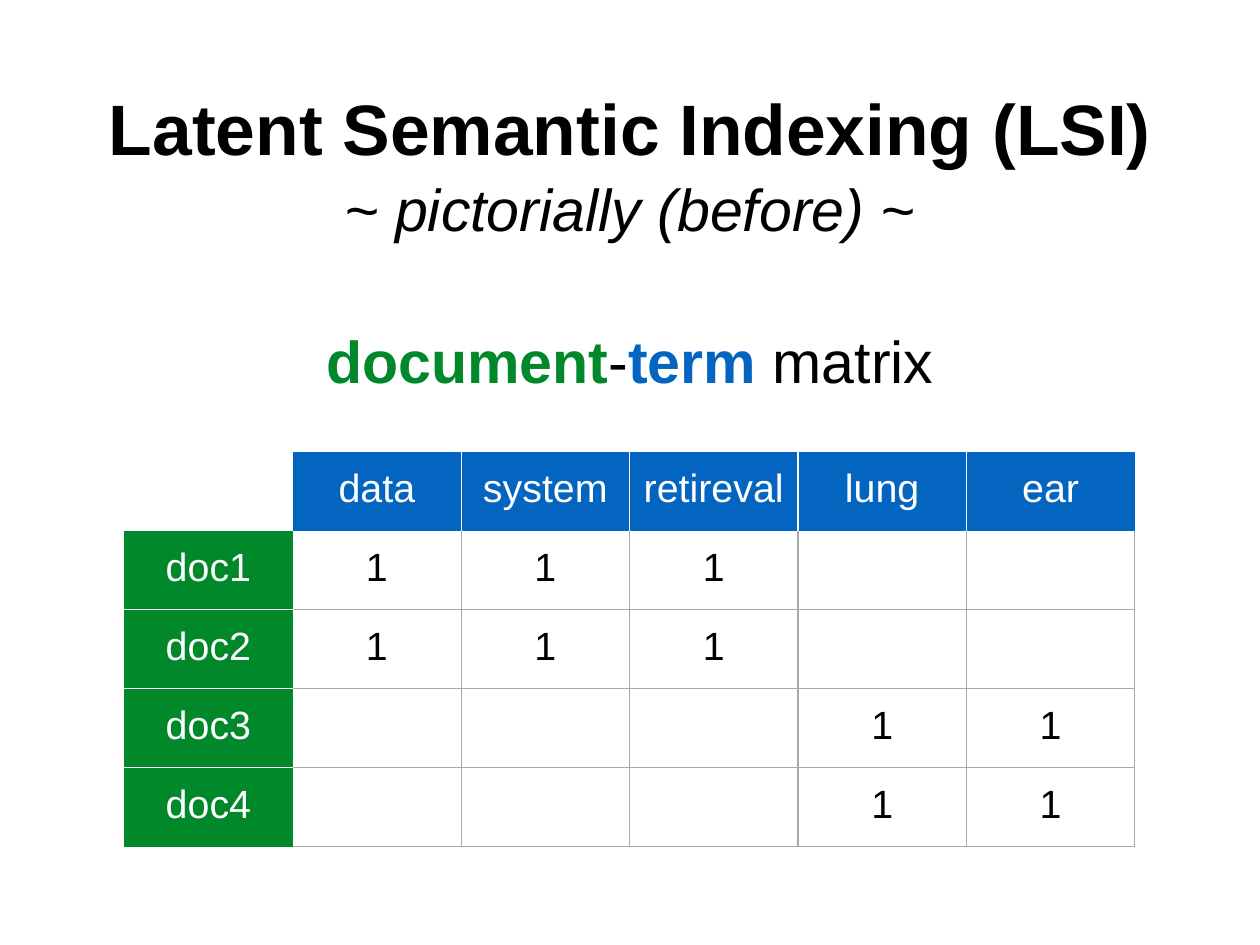
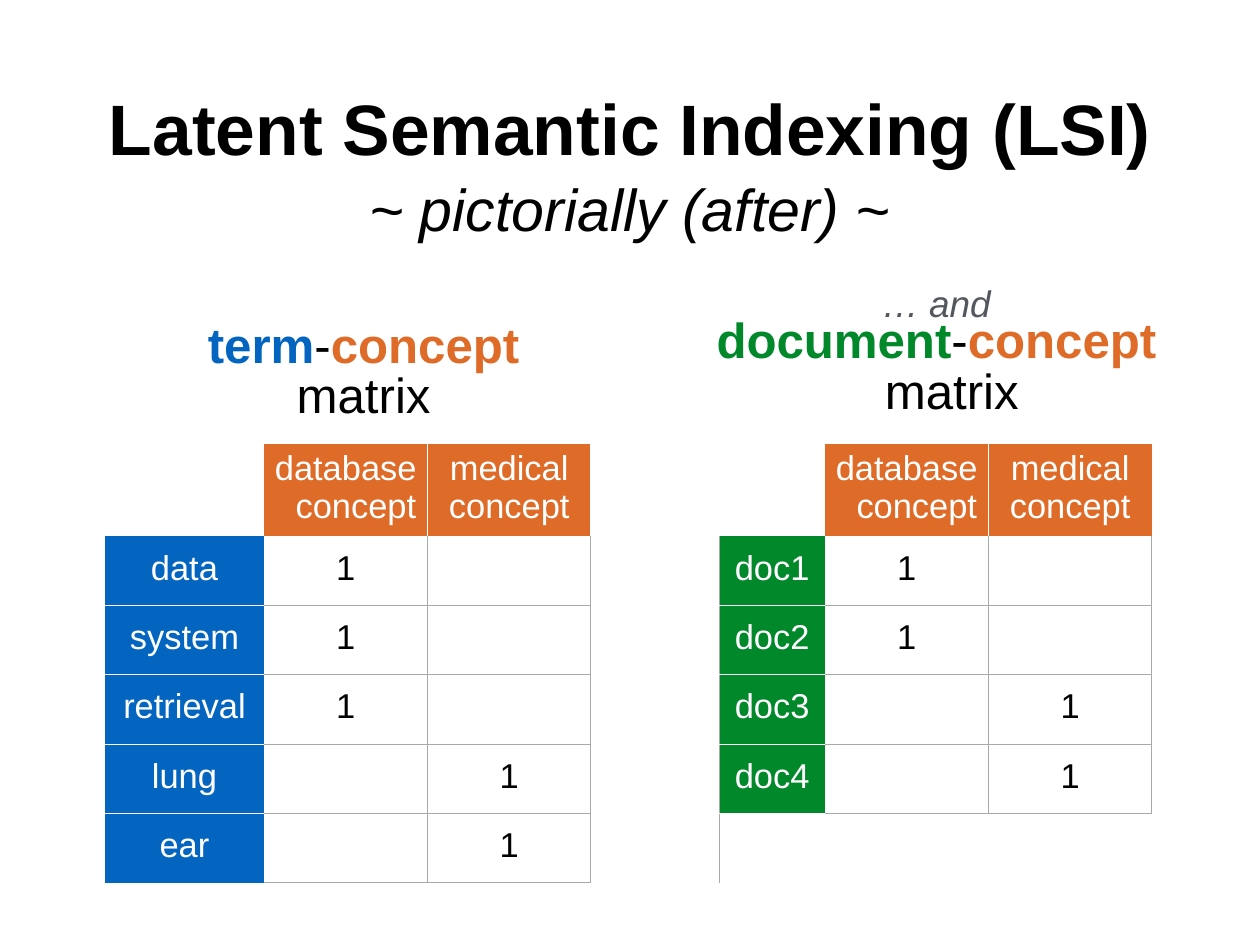
from dataclasses import dataclass

from lxml import etree
from pptx import Presentation
from pptx.dml.color import RGBColor
from pptx.enum.text import MSO_ANCHOR, PP_ALIGN
from pptx.oxml.ns import qn
from pptx.util import Pt

CENTER = PP_ALIGN.CENTER
MIDDLE = MSO_ANCHOR.MIDDLE
NO_GRID_STYLE = "{2D5ABB26-0587-4C30-8999-92F81FD0307C}"


@dataclass(frozen=True)
class Theme:
    font: str = "Arial"
    black: str = "000000"
    white: str = "FFFFFF"
    gray: str = "53585F"
    grid: str = "A6AAA9"
    term: str = "0365C0"
    document: str = "00882A"
    concept: str = "DE6B28"
    title: int = 58
    subtitle: int = 48
    heading: int = 40
    aside: int = 30
    wide_matrix: int = 32
    narrow_matrix: int = 28


THEME = Theme()


@dataclass(frozen=True)
class Matrix:
    """A labelled block inside a table; hangs shift the second line of a header."""
    first_column: int
    header_fill: str
    label_fill: str
    headers: tuple
    labels: tuple
    values: tuple
    hangs: tuple


def indent(paragraph, left, first=0):
    properties = paragraph._p.get_or_add_pPr()
    properties.set("marL", str(Pt(left)))
    properties.set("indent", str(Pt(first)))


def style(paragraph, size, color=THEME.black, bold=False, italic=False):
    paragraph.alignment = CENTER
    font = paragraph.font
    font.name, font.size = THEME.font, Pt(size)
    font.bold, font.italic = bold, italic
    font.color.rgb = RGBColor.from_string(color)


def add_text_frame(slide, left, top, width, height):
    frame = slide.shapes.add_textbox(Pt(left), Pt(top), Pt(width), Pt(height)).text_frame
    frame.word_wrap = True
    frame.margin_left = frame.margin_right = frame.margin_top = frame.margin_bottom = 0
    return frame


def add_title(slide, subtitle):
    frame = add_text_frame(slide, 52, 68.5, 920, 124)
    title = frame.paragraphs[0]
    title.text = "Latent Semantic Indexing (LSI)"
    style(title, THEME.title, bold=True)
    second = frame.add_paragraph()
    second.text = subtitle
    second.space_before = Pt(2)
    style(second, THEME.subtitle, italic=True)


def write_names(paragraph, *names):
    """Write bold coloured names joined by a plain hyphen."""
    for index, (name, color) in enumerate(names):
        if index:
            paragraph.add_run().text = "-"
        run = paragraph.add_run()
        run.text = name
        run.font.bold = True
        run.font.color.rgb = RGBColor.from_string(color)


def add_concept_heading(slide, left, top, width, name, color, aside=None, shift=0):
    """Stack the matrix name over the word matrix, after an optional aside."""
    frame = add_text_frame(slide, left, top, width, 108 if aside else 84)
    names = frame.paragraphs[0]
    if aside:
        names.text = aside
        names.line_spacing = Pt(30.5)
        style(names, THEME.aside, THEME.gray, italic=True)
        names = frame.add_paragraph()
    names.line_spacing = Pt(35.5 if aside else 41)
    style(names, THEME.heading)
    write_names(names, (name, color), ("concept", THEME.concept))
    word = frame.add_paragraph()
    word.text = "matrix"
    word.line_spacing = Pt(41)
    indent(word, shift)
    style(word, THEME.heading)


def set_borders(cell, color, **sides):
    """Draw the sides (L, R, T, B) that are true; call before setting the fill."""
    properties = cell._tc.get_or_add_tcPr()
    for side in "LRTB":
        if sides.get(side):
            line = etree.SubElement(properties, qn("a:ln" + side), w=str(Pt(1)))
            solid = etree.SubElement(line, qn("a:solidFill"))
            etree.SubElement(solid, qn("a:srgbClr"), val=color)


def add_grid(slide, left, top, widths, heights):
    table = slide.shapes.add_table(
        len(heights), len(widths), Pt(left), Pt(top),
        Pt(sum(widths)), Pt(sum(heights))).table
    table.first_row = table.horz_banding = False
    table._tbl.tblPr.find(qn("a:tableStyleId")).text = NO_GRID_STYLE
    for column, width in zip(table.columns, widths):
        column.width = Pt(width)
    for row, height in zip(table.rows, heights):
        row.height = Pt(height)
    return table


def fill_cell(cell, text, size, color=THEME.black, fill=None, hang=0):
    cell.margin_left = cell.margin_right = cell.margin_top = 0
    cell.margin_bottom = Pt(4)
    cell.vertical_anchor = MIDDLE
    if fill:
        cell.fill.solid()
        cell.fill.fore_color.rgb = RGBColor.from_string(fill)
    else:
        cell.fill.background()
    if text:
        paragraph = cell.text_frame.paragraphs[0]
        paragraph.text = text
        if hang:
            indent(paragraph, hang, -hang)
        style(paragraph, size, color)


def fill_matrix(table, matrix, size):
    last_column = len(matrix.headers) - 1
    last_row = len(matrix.labels) - 1
    start = matrix.first_column
    for column, header in enumerate(matrix.headers):
        cell = table.cell(0, start + column + 1)
        set_borders(cell, THEME.white, L=column > 0, R=column < last_column)
        fill_cell(cell, header, size, THEME.white, matrix.header_fill,
                  matrix.hangs[column])
    for row, label in enumerate(matrix.labels):
        cell = table.cell(row + 1, start)
        set_borders(cell, THEME.white, T=row > 0, B=row < last_row)
        fill_cell(cell, label, size, THEME.white, matrix.label_fill)
        for column, value in enumerate(matrix.values[row]):
            cell = table.cell(row + 1, start + column + 1)
            set_borders(cell, THEME.grid, L=column > 0, R=True, T=row > 0, B=True)
            fill_cell(cell, value, size)


DOCUMENTS = ("doc1", "doc2", "doc3", "doc4")
CONCEPTS = ("database concept", "medical concept")
DATABASE, MEDICAL = ("1", ""), ("", "1")
DATABASE_TERMS = ("1", "1", "1", "", "")
MEDICAL_TERMS = ("", "", "", "1", "1")
CONCEPT_HANGS = (16.5, 0)

DOCUMENT_TERM = Matrix(
    0, THEME.term, THEME.document,
    ("data", "system", "retireval", "lung", "ear"), DOCUMENTS,
    (DATABASE_TERMS,) * 2 + (MEDICAL_TERMS,) * 2, (0,) * 5)
TERM_CONCEPT = Matrix(
    0, THEME.concept, THEME.term, CONCEPTS,
    ("data", "system", "retrieval", "lung", "ear"),
    (DATABASE,) * 3 + (MEDICAL,) * 2, CONCEPT_HANGS)
DOCUMENT_CONCEPT = Matrix(
    4, THEME.concept, THEME.document, CONCEPTS, DOCUMENTS,
    (DATABASE,) * 2 + (MEDICAL,) * 2, CONCEPT_HANGS)


def build_before(slide):
    add_title(slide, "~ pictorially (before) ~")
    heading = add_text_frame(slide, 232, 263.5, 560, 56).paragraphs[0]
    style(heading, THEME.subtitle)
    write_names(heading, ("document", THEME.document), ("term", THEME.term))
    heading.add_run().text = " matrix"
    table = add_grid(slide, 101, 367.2, [136.9] * 6, [64.2] * 5)
    fill_matrix(table, DOCUMENT_TERM, THEME.wide_matrix)


def build_after(slide):
    add_title(slide, "~ pictorially (after) ~")
    concept_width = 132.9
    gap_column = DOCUMENT_CONCEPT.first_column - 1
    widths = [129.2, concept_width, concept_width, 104.4,
              85.7, concept_width, concept_width]
    table = add_grid(slide, 85.3, 360.8, widths, [74.8] + [56.4] * 5)
    for row in range(1, len(table.rows)):
        set_borders(table.cell(row, gap_column), THEME.grid, R=True)
    for matrix in (TERM_CONCEPT, DOCUMENT_CONCEPT):
        fill_matrix(table, matrix, THEME.narrow_matrix)
    add_concept_heading(slide, 168, 262.2, 255, "term", THEME.term)
    add_concept_heading(slide, 571, 233.6, 380, "document", THEME.document,
                        aside="… and", shift=25)


def main():
    presentation = Presentation()
    presentation.slide_width, presentation.slide_height = Pt(1024), Pt(768)
    blank = presentation.slide_layouts[6]
    for build in (build_before, build_after):
        build(presentation.slides.add_slide(blank))
    presentation.save("out.pptx")


if __name__ == "__main__":
    main()
